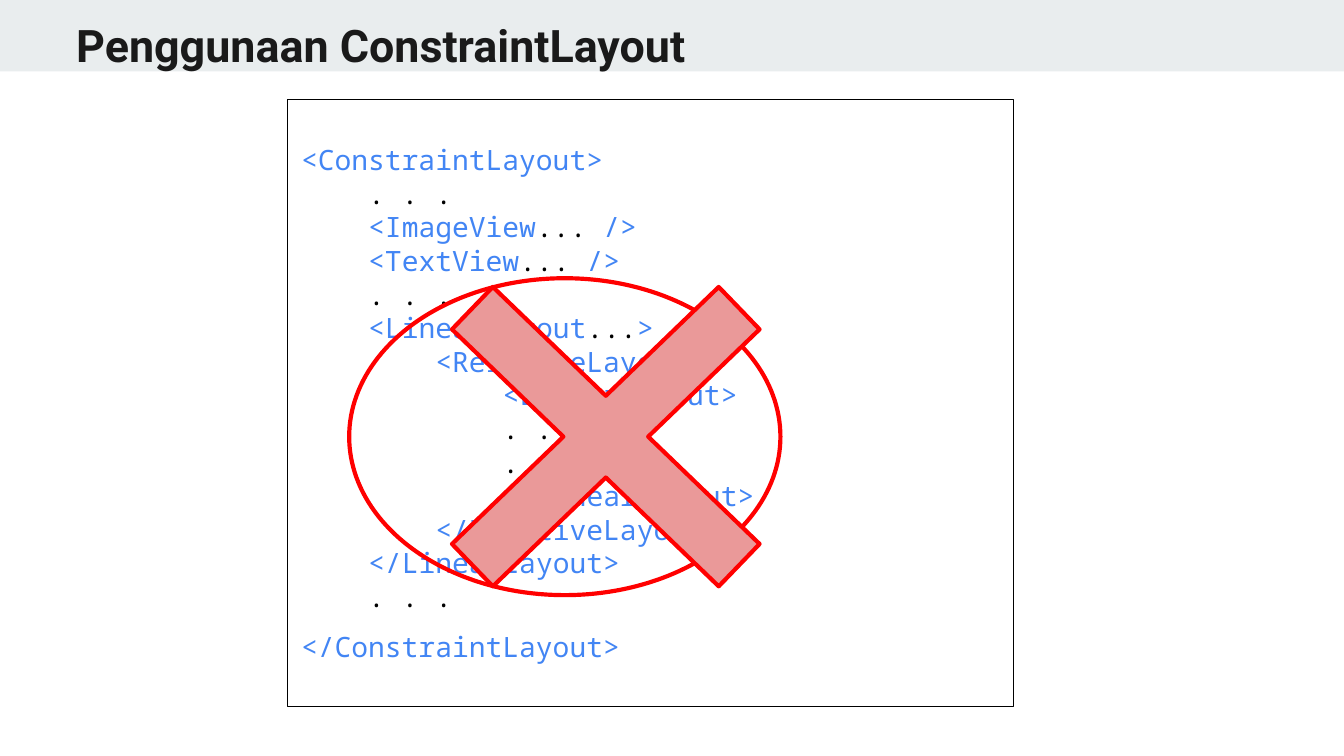
from dataclasses import dataclass
from itertools import groupby

from pptx import Presentation
from pptx.dml.color import RGBColor
from pptx.enum.shapes import MSO_SHAPE
from pptx.enum.text import MSO_ANCHOR, PP_ALIGN
from pptx.util import Cm, Pt


@dataclass(frozen=True)
class Theme:
    band: RGBColor = RGBColor(0xE9, 0xED, 0xEE)
    title: RGBColor = RGBColor(0x1A, 0x1A, 0x1A)
    plain: RGBColor = RGBColor(0x00, 0x00, 0x00)
    tag: RGBColor = RGBColor(0x42, 0x85, 0xF4)
    warning: RGBColor = RGBColor(0xFF, 0x00, 0x00)
    cross: RGBColor = RGBColor(0xEA, 0x99, 0x99)
    title_font: str = "Roboto"
    code_font: str = "Noto Sans Mono"
    title_size: Pt = Pt(24)
    code_size: Pt = Pt(15)
    code_pitch: Pt = Pt(18)
    last_pitch: Pt = Pt(27)
    thin: Pt = Pt(0.75)
    thick: Pt = Pt(2.25)


THEME = Theme()
INSET = Cm(0.25)
CODE = """<ConstraintLayout>
    . . .
    <ImageView... />
    <TextView... />
    . . .
    <LinearLayout...>
        <RelativeLayout>
            <LinearLayout>
            . . .
            . . .
            </LinearLayout>
        </RelativeLayout>
    </LinearLayout>
    . . .
</ConstraintLayout>"""


def add_figure(page, kind, box, fill=None, line=None, width=None):
    figure = page.shapes.add_shape(kind, *box)
    figure.shadow.inherit = False
    if fill is None:
        figure.fill.background()
    else:
        figure.fill.solid()
        figure.fill.fore_color.rgb = fill
    if line is None:
        figure.line.fill.background()
    else:
        figure.line.color.rgb = line
        figure.line.width = width
    return figure


def set_insets(frame):
    frame.margin_left = frame.margin_right = INSET
    frame.margin_top = frame.margin_bottom = INSET


def place_header(page, box, text):
    """Put the title on a full-width band that lies behind it."""
    left, top, width, height = box
    band = add_figure(page, MSO_SHAPE.RECTANGLE, box, THEME.band)
    title = page.shapes.title
    title.element.addprevious(band.element)
    title.left, title.top = left + Cm(1.19), top
    title.width, title.height = Cm(12.09), height + Cm(0.15)
    frame = title.text_frame
    frame.text = text
    frame.word_wrap = True
    frame.vertical_anchor = MSO_ANCHOR.TOP
    set_insets(frame)
    frame.margin_top = Cm(0.33)
    para = frame.paragraphs[0]
    para.alignment = PP_ALIGN.LEFT
    font = para.runs[0].font
    font.name, font.size, font.bold = THEME.title_font, THEME.title_size, True
    font.color.rgb = THEME.title


def write_code_line(para, line):
    """Colour the tags, and leave dots and spaces plain."""
    for is_plain, letters in groupby(line, lambda letter: letter in " ."):
        span = para.add_run()
        span.text = "".join(letters)
        span.font.name, span.font.size = THEME.code_font, THEME.code_size
        span.font.color.rgb = THEME.plain if is_plain else THEME.tag


def place_code(page, box, code):
    panel = add_figure(page, MSO_SHAPE.RECTANGLE, box,
                       line=THEME.plain, width=THEME.thin)
    frame = panel.text_frame
    frame.word_wrap = True
    frame.vertical_anchor = MSO_ANCHOR.MIDDLE
    set_insets(frame)
    for number, line in enumerate(code.splitlines()):
        para = frame.add_paragraph() if number else frame.paragraphs[0]
        para.alignment = PP_ALIGN.LEFT
        para.line_spacing = THEME.code_pitch
        write_code_line(para, line)
    para.line_spacing = THEME.last_pitch


def place_warning(page, box):
    """Ring the nested layouts and cross them out."""
    left, top, width, height = box
    add_figure(page, MSO_SHAPE.OVAL, box, line=THEME.warning, width=THEME.thick)
    cross_box = (left, top - Cm(1.68), width + Cm(1.55), height + Cm(3.36))
    cross = add_figure(page, MSO_SHAPE.MATH_MULTIPLY, cross_box,
                       THEME.cross, THEME.warning, THEME.thick)
    cross.adjustments[0] = 0.119


def main():
    deck = Presentation()
    deck.slide_width, deck.slide_height = Cm(25.4), Cm(14.29)
    page = deck.slides.add_slide(deck.slide_layouts.get_by_name("Title Only"))
    place_header(page, (Cm(0), Cm(0), deck.slide_width, Cm(1.35)),
                 "Penggunaan ConstraintLayout")
    place_code(page, (Cm(5.44), Cm(1.88), Cm(13.72), Cm(11.48)), CODE)
    place_warning(page, (Cm(6.6), Cm(5.26), Cm(8.15), Cm(5.99)))
    deck.save("out.pptx")


if __name__ == "__main__":
    main()
